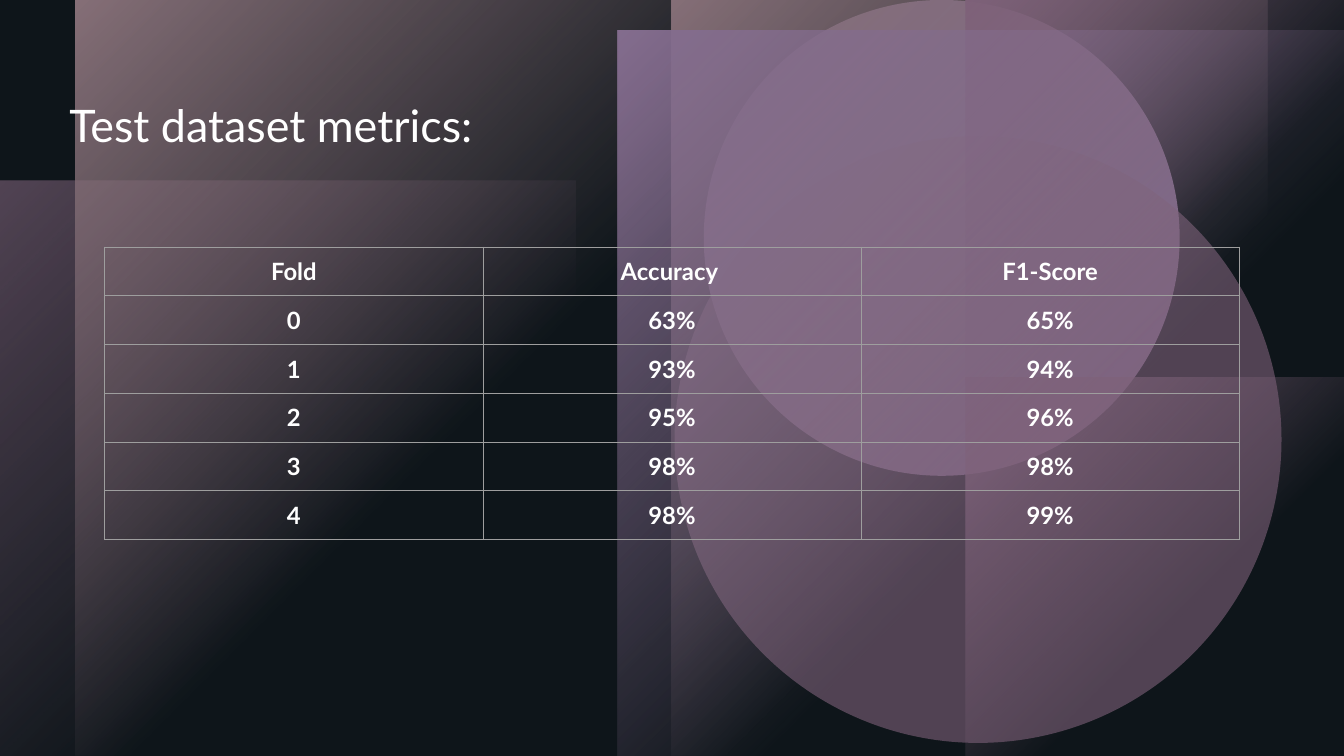
from dataclasses import dataclass

from lxml.etree import SubElement
from pptx import Presentation
from pptx.dml.color import RGBColor
from pptx.enum.shapes import MSO_SHAPE as Preset
from pptx.enum.text import MSO_ANCHOR as Anchor, PP_ALIGN as Align
from pptx.oxml import parse_xml
from pptx.oxml.ns import nsdecls, qn
from pptx.slide import Slide
from pptx.table import _Cell as Cell
from pptx.util import Emu, Pt

PX = 9144  # 100 px to the inch
FONT = "Lato"

BLACK = RGBColor(0x00, 0x00, 0x00)
WHITE = RGBColor(0xFF, 0xFF, 0xFF)
MAUVE = RGBColor(0xBA, 0x7F, 0x9F)
LILAC = RGBColor(0xC4, 0x92, 0xC2)
ROSE = RGBColor(0xC6, 0x96, 0x9C)
SLATE = RGBColor(0x24, 0x35, 0x41)
GRID_GRAY = RGBColor(0x9E, 0x9E, 0x9E)


@dataclass(frozen=True)
class Backdrop:
    left: int
    top: int
    width: int
    height: int
    color: RGBColor
    opacity: int = 100
    preset: Preset = Preset.RECTANGLE
    fades: bool = True


BACKDROPS = [
    Backdrop(0, 179, 571, 571, MAUVE, 60),
    Backdrop(698, 0, 472, 472, LILAC, 96, Preset.OVAL, fades=False),
    Backdrop(669, 135, 602, 602, MAUVE, 60, Preset.OVAL, fades=False),
    Backdrop(666, 0, 591, 750, ROSE),
    Backdrop(75, 0, 591, 750, ROSE),
    Backdrop(958, 375, 375, 375, MAUVE),
    Backdrop(958, 0, 375, 375, MAUVE),
    Backdrop(613, 30, 721, 721, LILAC),
    Backdrop(0, 0, 1333, 750, SLATE, 40, fades=False),
]

METRICS = [
    ("Fold", "Accuracy ", "F1-Score"),
    ("0", "63%", "65%"),
    ("1", "93%", "94%"),
    ("2", "95%", "96%"),
    ("3", "98%", "98%"),
    ("4", "98%", "99%"),
]
COLUMN_WIDTH, ROW_HEIGHT = 375, 42


def px(length: int) -> Emu:
    return Emu(length * PX)


def corner_fade(color: RGBColor, opacity: int):
    """Gradient that fades out from the top left corner."""
    stops = "".join(
        f'<a:gs pos="{position * 1000}"><a:srgbClr val="{color}">'
        f'<a:alpha val="{alpha * 1000}"/></a:srgbClr></a:gs>'
        for position, alpha in ((0, opacity), (60, 0), (100, 0))
    )
    return parse_xml(
        f'<a:gradFill {nsdecls("a")}><a:gsLst>{stops}</a:gsLst>'
        '<a:path path="circle"><a:fillToRect r="100000" b="100000"/></a:path>'
        "</a:gradFill>"
    )


def draw_backdrop(slide: Slide, item: Backdrop) -> None:
    shape = slide.shapes.add_shape(
        item.preset, px(item.left), px(item.top), px(item.width), px(item.height)
    )
    shape.shadow.inherit = False
    shape.line.fill.background()
    shape.fill.solid()
    shape.fill.fore_color.rgb = item.color
    properties = shape.element.spPr
    solid = properties.find(qn("a:solidFill"))
    if item.fades:
        properties.replace(solid, corner_fade(item.color, item.opacity))
    else:
        SubElement(solid[0], qn("a:alpha"), val=str(item.opacity * 1000))


def draw_title(slide: Slide, text: str) -> None:
    frame = slide.shapes.add_textbox(px(59), px(59), px(1213), px(97)).text_frame
    frame.word_wrap = True
    frame.vertical_anchor = Anchor.BOTTOM
    paragraph = frame.paragraphs[0]
    paragraph.text = text
    paragraph.line_spacing = 0.9
    paragraph.font.size = Pt(32)
    paragraph.font.name = FONT
    paragraph.font.color.rgb = WHITE


def add_borders(cell: Cell) -> None:
    properties = cell._tc.get_or_add_tcPr()
    for index, side in enumerate(("lnL", "lnR", "lnT", "lnB")):
        border = parse_xml(
            f'<a:{side} {nsdecls("a")} w="{Pt(0.75)}"><a:solidFill>'
            f'<a:srgbClr val="{GRID_GRAY}"/></a:solidFill></a:{side}>'
        )
        properties.insert(index, border)


def fill_cell(cell: Cell, text: str) -> None:
    cell.fill.background()
    cell.margin_left = cell.margin_right = px(10)
    cell.margin_top = cell.margin_bottom = px(10)
    paragraph = cell.text_frame.paragraphs[0]
    paragraph.text = text
    paragraph.alignment = Align.CENTER
    paragraph.font.size = Pt(17)
    paragraph.font.name = FONT
    paragraph.font.bold = True
    paragraph.font.color.rgb = WHITE
    add_borders(cell)


def draw_table(slide: Slide, rows: list[tuple[str, ...]]) -> None:
    row_count, column_count = len(rows), len(rows[0])
    table = slide.shapes.add_table(
        row_count, column_count, px(104), px(245),
        px(column_count * COLUMN_WIDTH), px(row_count * ROW_HEIGHT),
    ).table
    table.first_row = table.horz_banding = False
    for row_index, row in enumerate(rows):
        for column_index, text in enumerate(row):
            fill_cell(table.cell(row_index, column_index), text)


def main() -> None:
    presentation = Presentation()
    presentation.slide_width, presentation.slide_height = px(1333), px(750)
    slide = presentation.slides.add_slide(presentation.slide_layouts[6])
    background = slide.background.fill
    background.solid()
    background.fore_color.rgb = BLACK

    # Translucent shapes behind the content
    for item in BACKDROPS:
        draw_backdrop(slide, item)

    # Title and metrics
    draw_title(slide, "Test dataset metrics:")
    draw_table(slide, METRICS)
    presentation.save("out.pptx")


if __name__ == "__main__":
    main()
